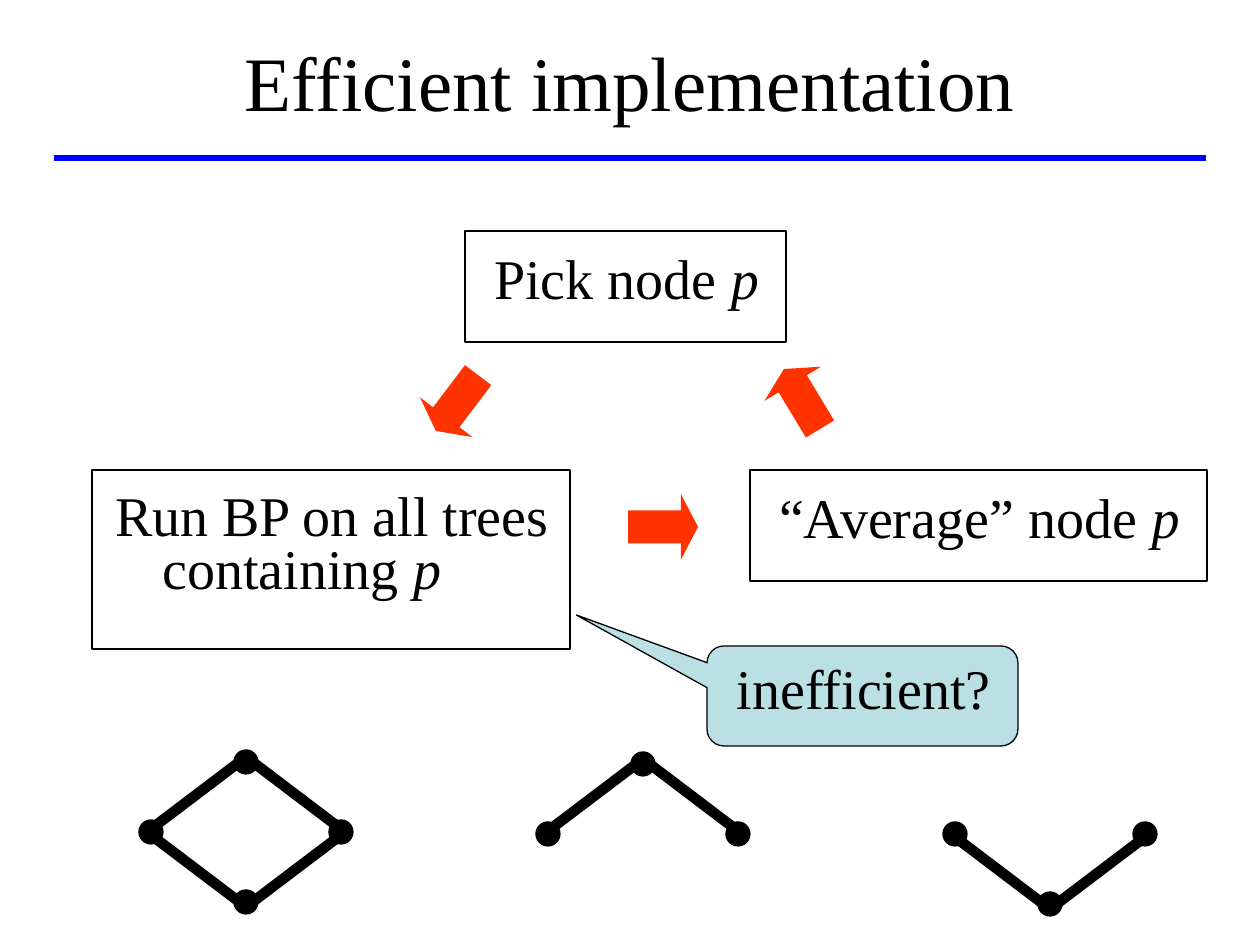
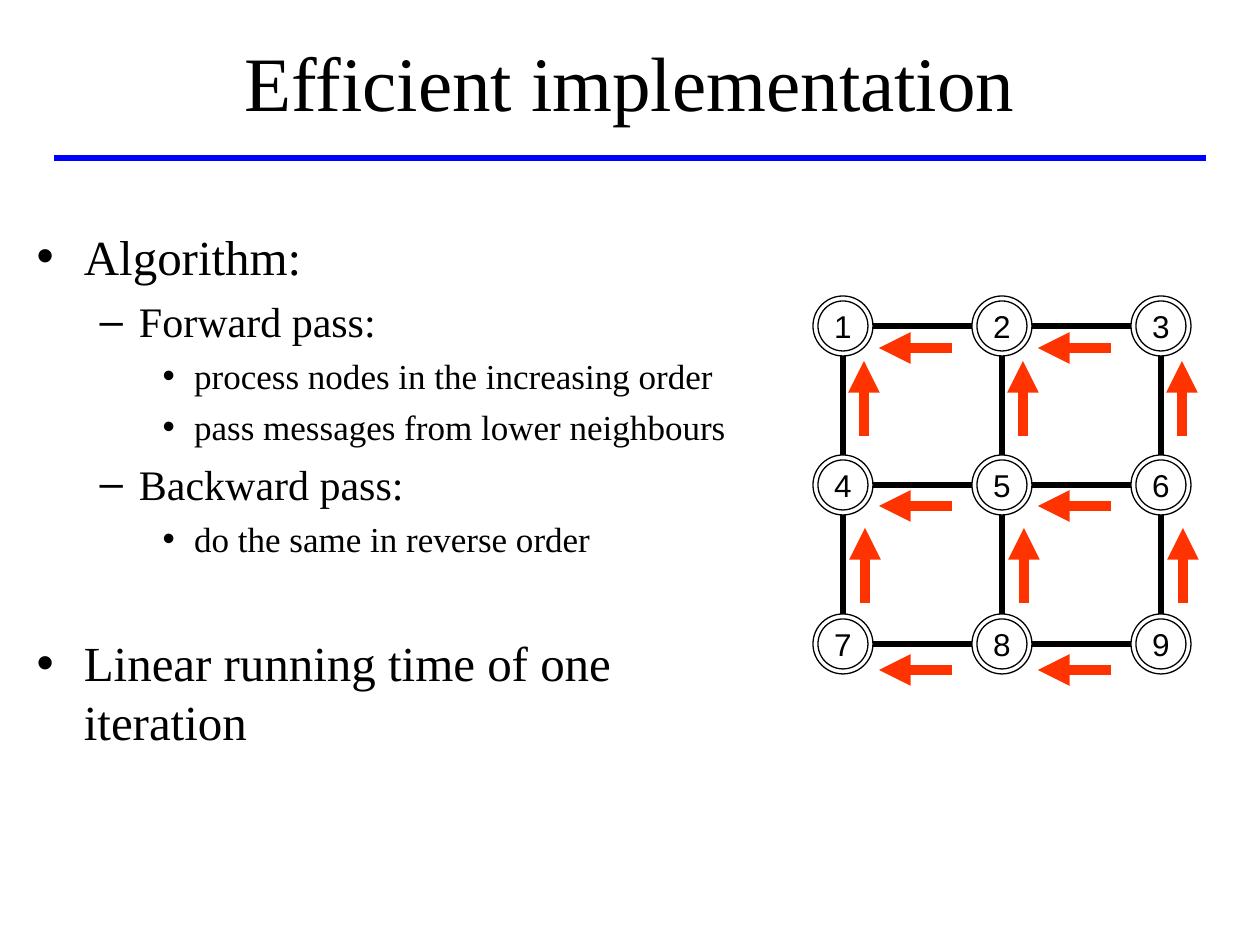
from lxml.etree import SubElement
from pptx import Presentation
from pptx.dml.color import RGBColor
from pptx.enum.shapes import MSO_CONNECTOR as Connector, MSO_SHAPE as Shape
from pptx.enum.text import MSO_ANCHOR as Anchor, MSO_AUTO_SIZE as AutoSize, PP_ALIGN as Align
from pptx.oxml.ns import qn
from pptx.util import Emu, Pt

# Shared look
PX_PER_INCH = 126
SERIF, SANS = "Times New Roman", "Arial"
BLACK, BLUE, RED, PALE_TEAL = "000000", "0000FF", "FF3300", "BBE0E3"

# Node grid
GRID_LEFT, GRID_TOP, GRID_STEP, GRID_SIZE = 843, 326, 159, 3
OUTER_RADIUS, INNER_RADIUS = 30, 25


def px(length):
    return Emu(round(length * 914400 / PX_PER_INCH))


def rgb(color):
    return RGBColor.from_string(color)


def place(shape, left, top, width, height):
    shape.left, shape.top = px(left), px(top)
    shape.width, shape.height = px(width), px(height)


def set_font(paragraph, size, name=SERIF):
    paragraph.font.size = Pt(size)
    paragraph.font.name = name
    paragraph.font.color.rgb = rgb(BLACK)


def set_outline(shape, color=BLACK, width=0.75):
    shape.line.color.rgb = rgb(color)
    shape.line.width = Pt(width)


def add_shape(slide, kind, box, fill=None, outlined=True):
    shape = slide.shapes.add_shape(kind, *map(px, box))
    shape.shadow.inherit = False
    if fill:
        shape.fill.solid()
        shape.fill.fore_color.rgb = rgb(fill)
    else:
        shape.fill.background()
    if outlined:
        set_outline(shape)
    else:
        shape.line.fill.background()
    return shape


def add_circle(slide, x, y, radius, fill=None):
    box = (x - radius, y - radius, 2 * radius, 2 * radius)
    return add_shape(slide, Shape.OVAL, box, fill)


def add_line(slide, start, end, color=BLACK, width=3, arrow=False):
    line = slide.shapes.add_connector(Connector.STRAIGHT, *map(px, start + end))
    set_outline(line, color, width)
    properties = line.element.spPr
    if arrow:
        SubElement(properties.find(qn("a:ln")), qn("a:tailEnd"), type="triangle")
    SubElement(properties, qn("a:effectLst"))


def write_step(shape, text, variable="", margins=(29, 20, 0), spacing=0.9):
    """Write a step of the loop, with its variable in italics."""
    frame = shape.text_frame
    frame.word_wrap = True
    frame.auto_size = AutoSize.NONE
    frame.vertical_anchor = Anchor.TOP
    frame.margin_left, frame.margin_top, frame.margin_right = map(px, margins)
    paragraph = frame.paragraphs[0]
    paragraph.alignment = Align.LEFT
    paragraph.line_spacing = spacing
    paragraph.space_before = Pt(8)
    set_font(paragraph, 32)
    paragraph.add_run().text = text
    if variable:
        run = paragraph.add_run()
        run.text = variable
        run.font.italic = True


def add_content_slide(presentation, title):
    """Add a slide with the title and the blue rule; return it and its body."""
    slide = presentation.slides.add_slide(presentation.slide_layouts[1])
    heading, body = slide.placeholders
    place(heading, 63, 2, 1134, 158)
    heading.text_frame.text = title
    heading.text_frame.auto_size = AutoSize.NONE
    heading.text_frame.vertical_anchor = Anchor.MIDDLE
    paragraph = heading.text_frame.paragraphs[0]
    paragraph.alignment = Align.CENTER
    set_font(paragraph, 44)
    add_line(slide, (54, 158), (1206, 158), BLUE)
    return slide, body


def add_cycle_arrow(slide, x, y, rotation):
    arrow = add_shape(slide, Shape.RIGHT_ARROW, (x - 35, y - 33, 70, 66), RED, outlined=False)
    arrow.adjustments[1] = 0.26
    arrow.rotation = rotation


def add_small_graph(slide, x, y, tips):
    """Join the left and right dots through each tip (-1 above, 1 below)."""
    for tip in tips:
        for side in (-1, 1):
            add_line(slide, (x + 99 * side, y), (x, y + 75 * tip), width=6)
    dots = [(x - 95, y), (x + 95, y)] + [(x, y + 70 * tip) for tip in tips]
    for dot_x, dot_y in dots:
        add_circle(slide, dot_x, dot_y, 12, BLACK)


def write_outline(body, items):
    frame = body.text_frame
    frame.auto_size = AutoSize.NONE
    for index, (level, text, space_before) in enumerate(items):
        paragraph = frame.paragraphs[0] if index == 0 else frame.add_paragraph()
        paragraph.text = text
        paragraph.level = level
        paragraph.space_before = Pt(space_before)
        set_font(paragraph, 28 - 4 * level)


def add_grid_node(slide, x, y, number):
    node = add_circle(slide, x, y, OUTER_RADIUS)
    add_circle(slide, x, y, INNER_RADIUS)
    frame = node.text_frame
    frame.margin_left = frame.margin_right = frame.margin_top = frame.margin_bottom = 0
    frame.word_wrap = True
    frame.vertical_anchor = Anchor.MIDDLE
    frame.text = str(number)
    paragraph = frame.paragraphs[0]
    paragraph.alignment = Align.CENTER
    set_font(paragraph, 18, SANS)


def add_message_grid(slide):
    """Draw the numbered grid and the messages towards lower numbers."""
    row_drops = (22, 21, 26)    # horizontal messages below their edge
    tip_gaps = (35, 43)         # vertical messages below the upper node
    last = GRID_SIZE - 1
    for row in range(GRID_SIZE):
        for column in range(GRID_SIZE):
            x = GRID_LEFT + GRID_STEP * column
            y = GRID_TOP + GRID_STEP * row
            add_grid_node(slide, x, y, GRID_SIZE * row + column + 1)
            if column < last:
                add_line(slide, (x + OUTER_RADIUS, y), (x + GRID_STEP - OUTER_RADIUS, y))
                level = y + row_drops[row]
                add_line(slide, (x + 109, level), (x + 36, level), RED, 6, arrow=True)
            if row < last:
                add_line(slide, (x, y + OUTER_RADIUS), (x, y + GRID_STEP - OUTER_RADIUS))
                track, tip = x + 21 + row, y + tip_gaps[row]
                add_line(slide, (track, tip + 75), (track, tip), RED, 6, arrow=True)


def build_cycle_slide(presentation):
    slide, body = add_content_slide(presentation, "Efficient implementation")

    # The three steps of the loop
    pick = add_shape(slide, Shape.RECTANGLE, (465, 231, 321, 111))
    write_step(pick, "Pick node ", "p")
    average = add_shape(slide, Shape.RECTANGLE, (750, 470, 457, 111))
    write_step(average, "“Average” node ", "p")
    place(body, 92, 470, 478, 179)
    set_outline(body)
    SubElement(body.text_frame.paragraphs[0]._p.get_or_add_pPr(), qn("a:buNone"))
    write_step(body, "Run BP on all trees containing ", "p", (23, 23, 6), 0.8)

    # Arrows round the loop
    for x, y, rotation in ((663, 527, 0), (457, 403, 127.1), (802, 399, 238.9)):
        add_cycle_arrow(slide, x, y, rotation)

    # Remark on the second step
    callout = add_shape(slide, Shape.ROUNDED_RECTANGULAR_CALLOUT, (707, 646, 311, 100), PALE_TEAL)
    for index, value in enumerate((-0.92, -0.81, 0.17)):
        callout.adjustments[index] = value
    write_step(callout, "inefficient?", margins=(25, 10, 0))

    # The cycle and its two trees
    add_small_graph(slide, 246, 832, (-1, 1))
    add_small_graph(slide, 643, 834, (-1,))
    add_small_graph(slide, 1050, 834, (1,))


def build_algorithm_slide(presentation):
    slide, body = add_content_slide(presentation, "Efficient implementation")
    place(body, 24, 220, 772, 624)
    write_outline(body, [
        (0, "Algorithm:", 7),
        (1, "Forward pass:", 6),
        (2, "process nodes in the increasing order", 5),
        (2, "pass messages from lower neighbours", 5),
        (1, "Backward pass:", 6),
        (2, "do the same in reverse order", 5),
        (0, "Linear running time of one iteration", 42),
    ])
    add_message_grid(slide)


def main():
    presentation = Presentation()
    presentation.slide_width, presentation.slide_height = px(1260), px(945)
    build_cycle_slide(presentation)
    build_algorithm_slide(presentation)
    presentation.save("out.pptx")


if __name__ == "__main__":
    main()
